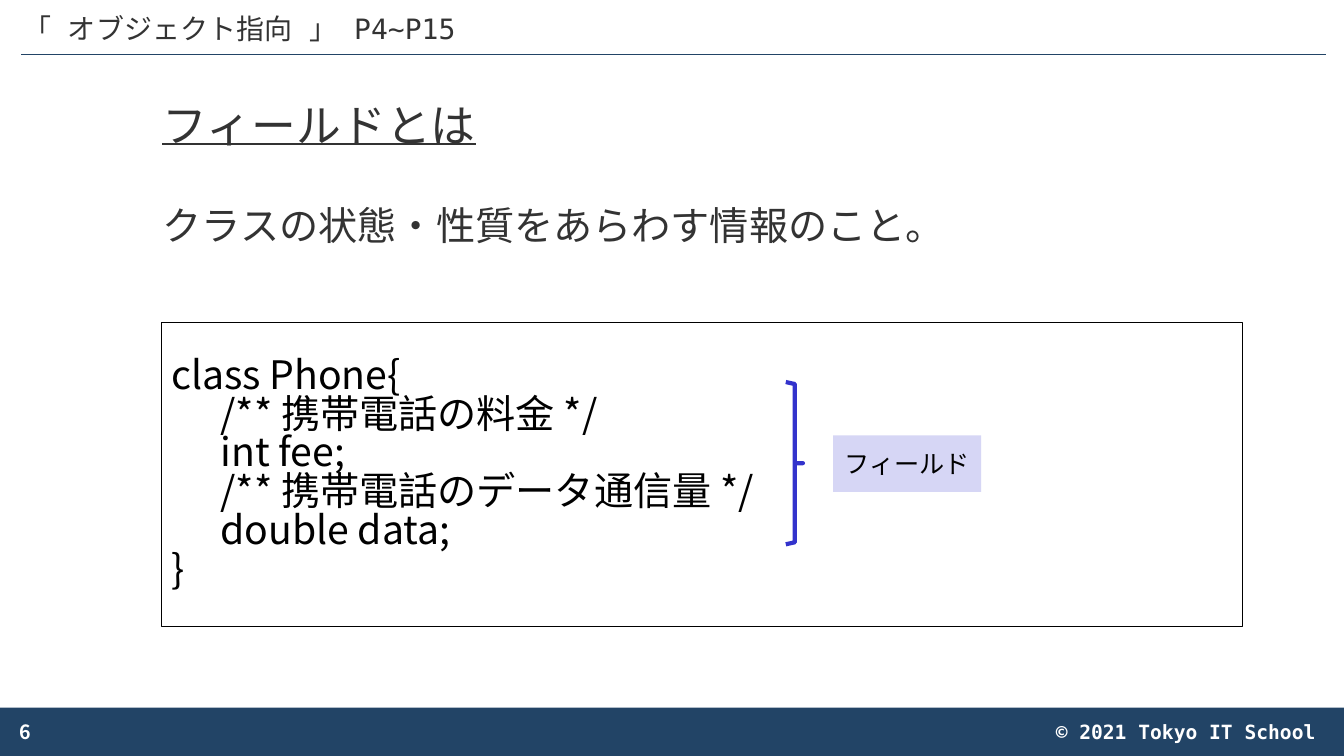
from lxml.etree import SubElement
from pptx import Presentation
from pptx.dml.color import RGBColor
from pptx.enum.shapes import MSO_CONNECTOR, MSO_SHAPE
from pptx.enum.text import MSO_ANCHOR as Anchor, MSO_AUTO_SIZE as AutoSize, PP_ALIGN as Align
from pptx.oxml.ns import qn
from pptx.util import Inches, Pt

NAVY = RGBColor(0x22, 0x44, 0x66)
GRAY = RGBColor(0x33, 0x33, 0x33)
BLUE = RGBColor(0x33, 0x33, 0xCC)
LAVENDER = RGBColor(0xD6, 0xD6, 0xF5)
BLACK = RGBColor(0, 0, 0)
WHITE = RGBColor(0xFF, 0xFF, 0xFF)
MONO, SANS, LABEL = "DejaVu Sans Mono", "Noto Sans CJK JP", "Arial"


class SlideBuilder:
    def __init__(self, slide):
        self.slide = slide
        self.shapes = slide.shapes

    def add_lines(self, shape, lines, size, font=MONO, color=GRAY, align=Align.LEFT,
                  anchor=Anchor.MIDDLE, spacing=None, tab=None, bold=False, underline=False):
        frame = shape.text_frame
        frame.word_wrap = True
        frame.auto_size = AutoSize.NONE
        frame.vertical_anchor = anchor
        for index, line in enumerate(lines):
            paragraph = frame.add_paragraph() if index else frame.paragraphs[0]
            if tab:
                stops = SubElement(paragraph._p.get_or_add_pPr(), qn("a:tabLst"))
                SubElement(stops, qn("a:tab"), pos=str(Inches(tab)), algn="l")
            paragraph.alignment = align
            paragraph.line_spacing = spacing
            paragraph.space_before = Pt(0)
            run = paragraph.add_run()
            run.text = line
            run.font.size = Pt(size)
            run.font.name = font
            run.font.bold = bold
            run.font.underline = underline
            run.font.color.rgb = color
            SubElement(run._r.get_or_add_rPr(), qn("a:ea"), typeface=font)
        return shape

    def placeholder(self, index, box, lines, size, **style):
        holder = self.slide.placeholders[index]
        holder.left, holder.top, holder.width, holder.height = map(Inches, box)
        return self.add_lines(holder, lines, size, **style)

    def text(self, box, line, size, **style):
        return self.add_lines(self.shapes.add_textbox(*map(Inches, box)), [line], size, **style)

    def rectangle(self, box, fill=None, line=None):
        rect = self.shapes.add_shape(MSO_SHAPE.RECTANGLE, *map(Inches, box))
        self.outline(rect, line, 0.75)
        if fill is None:
            rect.fill.background()
        else:
            rect.fill.solid()
            rect.fill.fore_color.rgb = fill
        return rect

    def outline(self, shape, color, width):
        shape.shadow.inherit = False
        if color is None:
            shape.line.fill.background()
        else:
            shape.line.color.rgb = color
            shape.line.width = Pt(width)

    def rule(self, x1, x2, y, color, width):
        line = self.shapes.add_connector(MSO_CONNECTOR.STRAIGHT, *map(Inches, (x1, y, x2, y)))
        line.line.color.rgb = color
        line.line.width = Pt(width)
        SubElement(line._element.spPr, qn("a:effectLst"))

    def bracket(self, left, spine, tip, top, bottom, color, width):
        middle = (top + bottom) / 2
        points = [(left, top), (spine, top + 0.02), (spine, middle), (tip, middle),
                  (spine, middle), (spine, bottom - 0.02), (left, bottom)]
        start, *rest = [(Inches(x), Inches(y)) for x, y in points]
        builder = self.shapes.build_freeform(*start)
        builder.add_line_segments(rest, close=False)
        brace = builder.convert_to_shape()
        brace.fill.background()
        self.outline(brace, color, width)


def main():
    deck = Presentation()
    deck.slide_width, deck.slide_height = Inches(13.34), Inches(7.5)
    page = SlideBuilder(deck.slides.add_slide(deck.slide_layouts[1]))

    # Footer band and header rule
    page.rectangle((0, 7.02, 13.34, 0.48), fill=NAVY)
    page.text((8.34, 7.09, 4.82, 0.34), "© 2021 Tokyo IT School", 14, color=WHITE,
              align=Align.RIGHT, anchor=Anchor.TOP, bold=True)
    page.text((0.1, 7.06, 3, 0.4), "6", 14, font=SANS, color=WHITE, bold=True)
    page.rule(0.21, 13.16, 0.54, NAVY, 0.5)
    page.text((0, -0.04, 4.75, 0.54), "「 オブジェクト指向 」 P4~P15", 20,
              align=Align.CENTER, anchor=Anchor.BOTTOM, spacing=0.9)

    # Title and definition
    page.placeholder(0, (1.51, 0.68, 10.32, 1.17), ["フィールドとは"], 32,
                     spacing=0.9, underline=True)
    definition = page.placeholder(1, (1.51, 2, 10.32, 4.76),
                                  ["クラスの状態・性質をあらわす情報のこと。"], 28,
                                  anchor=Anchor.TOP, spacing=0.9)
    properties = definition.text_frame.paragraphs[0]._p.get_or_add_pPr()
    properties.set("marL", "0")
    properties.set("indent", "0")
    SubElement(properties, qn("a:buNone"))

    # Code listing
    code = ["class Phone{",
            "\t/** 携帯電話の料金 */",
            "\tint fee;",
            "\t/** 携帯電話のデータ通信量 */",
            "\tdouble data;",
            "}"]
    listing = page.rectangle((1.6, 3.2, 10.73, 3.02), line=BLACK)
    page.add_lines(listing, code, 28, font=SANS, color=BLACK, spacing=Pt(27.8), tab=0.49)

    # Bracket and label for the fields
    page.bracket(7.8, 7.89, 7.97, 3.79, 5.4, BLUE, 3)
    field_label = page.rectangle((8.27, 4.32, 1.47, 0.56), fill=LAVENDER)
    page.add_lines(field_label, ["フィールド"], 18, font=LABEL, color=BLACK, align=Align.CENTER)

    deck.save("out.pptx")


if __name__ == "__main__":
    main()
